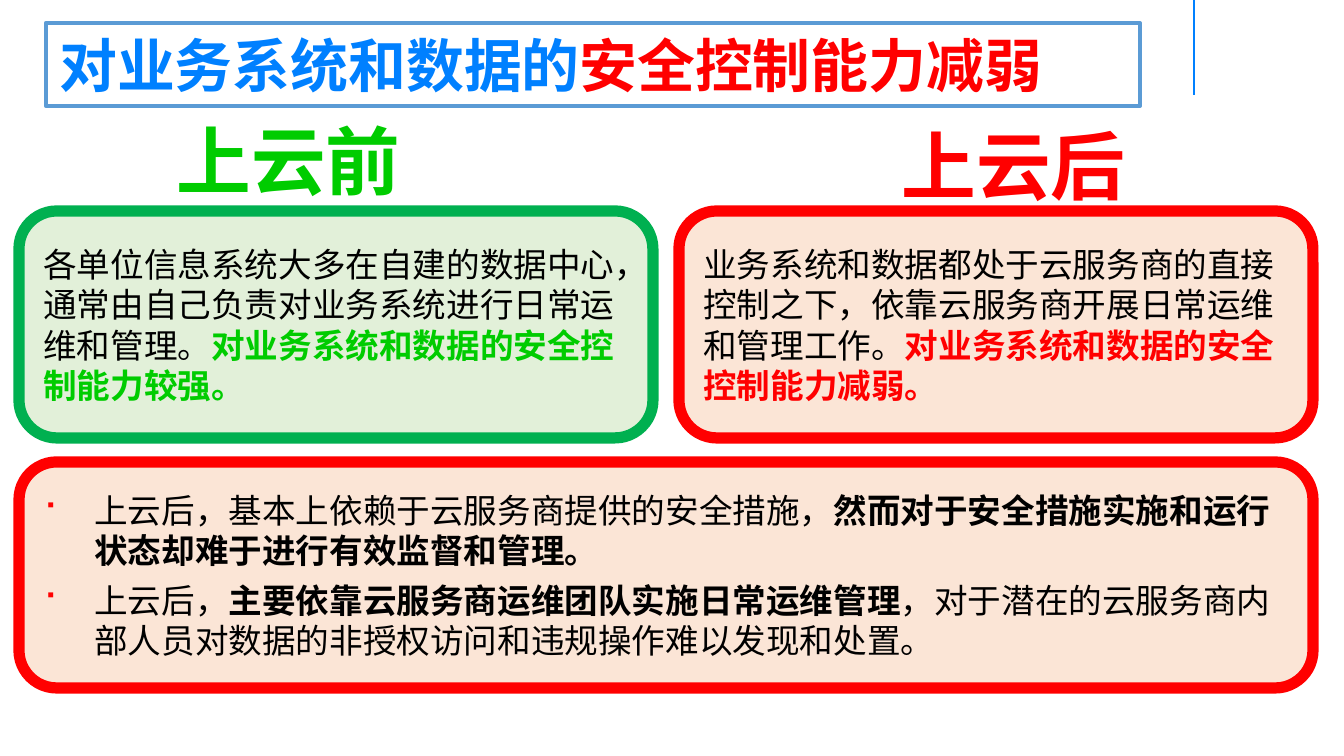
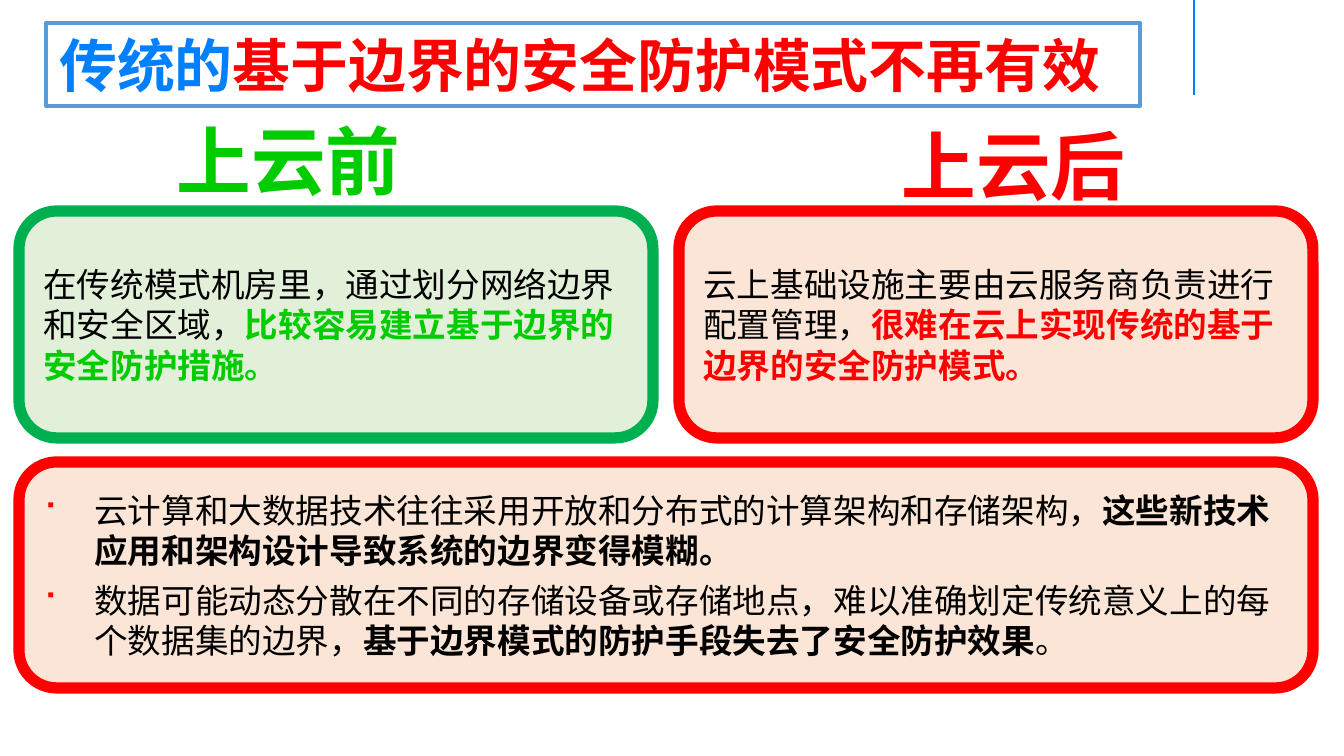
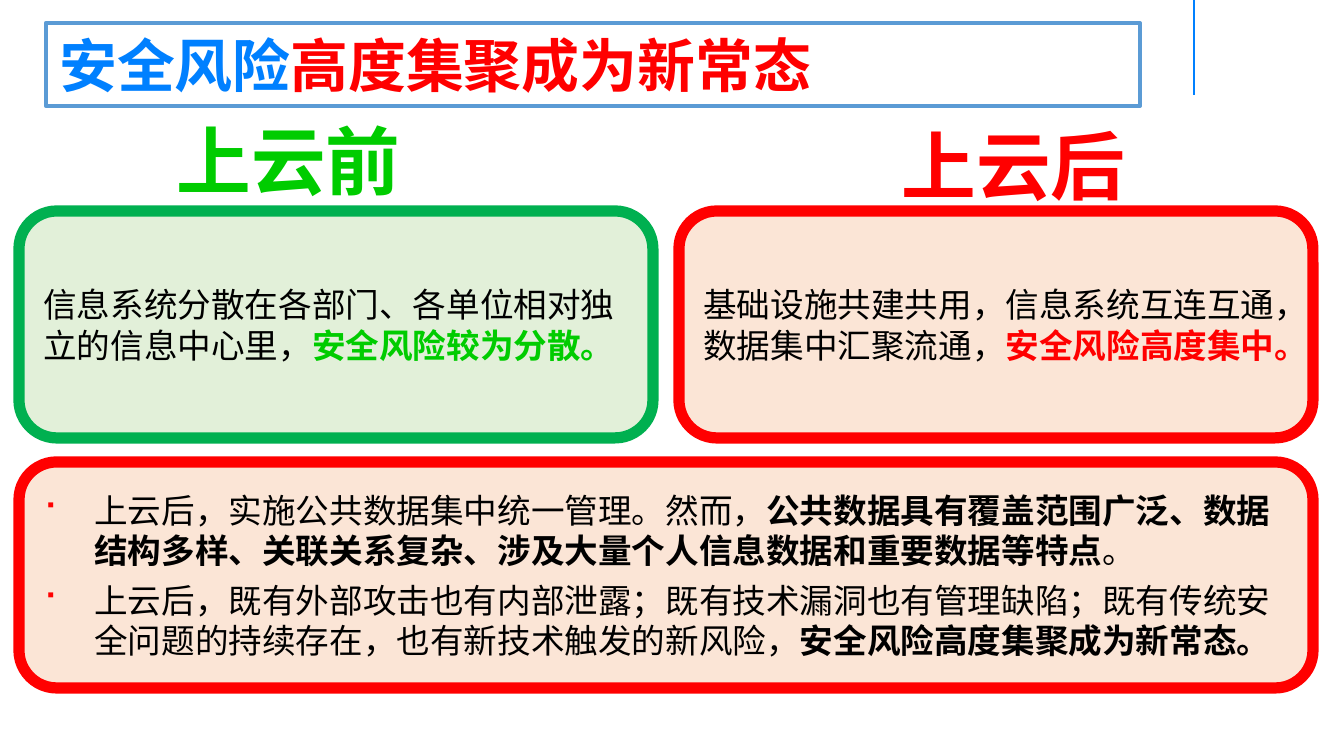
from lxml import etree
from pptx import Presentation
from pptx.dml.color import RGBColor
from pptx.enum.shapes import MSO_CONNECTOR, MSO_SHAPE
from pptx.enum.text import MSO_ANCHOR, MSO_AUTO_SIZE, PP_ALIGN
from pptx.oxml.ns import qn
from pptx.util import Pt

RECT, ROUNDED = MSO_SHAPE.RECTANGLE, MSO_SHAPE.ROUNDED_RECTANGLE
STRAIGHT = MSO_CONNECTOR.STRAIGHT
TOP, MIDDLE = MSO_ANCHOR.TOP, MSO_ANCHOR.MIDDLE
LEFT, CENTER = PP_ALIGN.LEFT, PP_ALIGN.CENTER
FIT_SHAPE, FIXED = MSO_AUTO_SIZE.SHAPE_TO_FIT_TEXT, MSO_AUTO_SIZE.NONE

BLUE = RGBColor(0x00, 0x80, 0xFF)
FRAME_BLUE = RGBColor(0x5B, 0x9B, 0xD5)
RED = RGBColor(0xFF, 0x00, 0x00)
PALE_RED = RGBColor(0xFB, 0xE5, 0xD6)
GREEN = RGBColor(0x00, 0xCC, 0x00)
EDGE_GREEN = RGBColor(0x00, 0xB0, 0x50)
PALE_GREEN = RGBColor(0xE2, 0xF0, 0xD9)
BLACK = RGBColor(0x00, 0x00, 0x00)
WHITE = RGBColor(0xFF, 0xFF, 0xFF)

BODY_FONT, HEADING_FONT = "Noto Sans CJK SC", "Noto Sans CJK JP"
LINE_HEIGHT = 1.2

TOPICS = [
    {
        "title": ("对业务系统和数据的", "安全控制能力减弱"),
        "before": ("各单位信息系统大多在自建的数据中心，通常由自己负责对业务系统进行日常运维和管理。",
                   "对业务系统和数据的安全控制能力较强。"),
        "after": ("业务系统和数据都处于云服务商的直接控制之下，依靠云服务商开展日常运维和管理工作。",
                  "对业务系统和数据的安全控制能力减弱。"),
        "points": [
            ("上云后，基本上依赖于云服务商提供的安全措施，",
             "然而对于安全措施实施和运行状态却难于进行有效监督和管理。"),
            ("上云后，", "主要依靠云服务商运维团队实施日常运维管理",
             "，对于潜在的云服务商内部人员对数据的非授权访问和违规操作难以发现和处置。"),
        ],
    },
    {
        "title": ("传统的", "基于边界的安全防护模式不再有效"),
        "before": ("在传统模式机房里，通过划分网络边界和安全区域，",
                   "比较容易建立基于边界的安全防护措施。"),
        "after": ("云上基础设施主要由云服务商负责进行配置管理，",
                  "很难在云上实现传统的基于边界的安全防护模式。"),
        "points": [
            ("云计算和大数据技术往往采用开放和分布式的计算架构和存储架构，",
             "这些新技术应用和架构设计导致系统的边界变得模糊。"),
            ("数据可能动态分散在不同的存储设备或存储地点，难以准确划定传统意义上的每个数据集的边界，",
             "基于边界模式的防护手段失去了安全防护效果", "。"),
        ],
    },
    {
        "title": ("安全风险", "高度集聚成为新常态"),
        "before": ("信息系统分散在各部门、各单位相对独立的信息中心里，", "安全风险较为分散。"),
        "after": ("基础设施共建共用，信息系统互连互通，数据集中汇聚流通，", "安全风险高度集中。"),
        "points": [
            ("上云后，实施公共数据集中统一管理。然而，",
             "公共数据具有覆盖范围广泛、数据结构多样、关联关系复杂、涉及大量个人信息数据和重要数据等特点",
             "。"),
            ("上云后，既有外部攻击也有内部泄露；既有技术漏洞也有管理缺陷；既有传统安全问题的持续存在，也有新技术触发的新风险，",
             "安全风险高度集聚成为新常态。"),
        ],
    },
]

STAGES = [
    {"key": "before", "heading": "上云前", "heading_box": (157, 108, 263, 104),
     "accent": GREEN, "edge": EDGE_GREEN, "fill": PALE_GREEN},
    {"key": "after", "heading": "上云后", "heading_box": (887, 113, 253, 104),
     "accent": RED, "edge": RED, "fill": PALE_RED},
]

PAGE_W, PAGE_H = 1344, 756
TITLE_BOX = (46, 23, 1094, 83)
RULE_X, RULE_H = 1194, 95
MARGIN, PANEL_W, PANEL_H, PANEL_TOP, GUTTER = 19, 634, 227, 211, 26
POINTS_TOP, POINTS_H = 462, 226
POINT_INDENT = 51


def px(length):
    return round(length * 914400 / 134.4)


def place(box):
    return [px(length) for length in box]


def add_solid(parent, tag, color):
    holder = etree.SubElement(parent, qn(tag))
    if tag == "a:ln":
        holder.set("w", str(Pt(0.75)))
        holder = etree.SubElement(holder, qn("a:solidFill"))
    etree.SubElement(holder, qn("a:srgbClr")).set("val", str(color))


def add_bullet(paragraph):
    props = paragraph._p.get_or_add_pPr()
    props.set("marL", str(px(POINT_INDENT)))
    props.set("indent", str(-px(POINT_INDENT)))
    add_solid(props, "a:buClr", RED)
    etree.SubElement(props, qn("a:buFont")).set("typeface", "Wingdings")
    etree.SubElement(props, qn("a:buChar")).set("char", "■")


def write(shape, paragraphs, size, font=BODY_FONT, align=LEFT, anchor=TOP,
          fit=FIXED, after=(0,), bullet=False, outline=None):
    frame = shape.text_frame
    frame.word_wrap = True
    frame.auto_size = fit
    frame.vertical_anchor = anchor
    for index, (runs, space) in enumerate(zip(paragraphs, after)):
        paragraph = frame.add_paragraph() if index else frame.paragraphs[0]
        paragraph.alignment = align
        paragraph.line_spacing = Pt(size * LINE_HEIGHT)
        paragraph.space_after = Pt(space)
        if bullet:
            add_bullet(paragraph)
        for text, color, bold in runs:
            run = paragraph.add_run()
            run.text = text
            props = run.font._element
            if outline:
                add_solid(props, "a:ln", outline)
            run.font.size = Pt(size)
            run.font.bold = bold
            run.font.color.rgb = color
            run.font.name = font
            etree.SubElement(props, qn("a:ea")).set("typeface", font)


def add_box(slide, kind, box, edge, weight, fill=None):
    shape = slide.shapes.add_shape(kind, *place(box))
    shape.shadow.inherit = False
    if fill is None:
        shape.fill.background()
    else:
        shape.fill.solid()
        shape.fill.fore_color.rgb = fill
    shape.line.color.rgb = edge
    shape.line.width = Pt(weight)
    return shape


def add_header(slide, title):
    rule = slide.shapes.add_connector(STRAIGHT, *place((RULE_X, 0, RULE_X, RULE_H)))
    rule.line.color.rgb = BLUE
    rule.line.width = Pt(1)
    etree.SubElement(rule._element.spPr, qn("a:effectLst"))
    subject, change = title
    title_box = add_box(slide, RECT, TITLE_BOX, FRAME_BLUE, 2.25)
    write(title_box, [[(subject, BLUE, True), (change, RED, True)]], 31, fit=FIT_SHAPE)


def add_stages(slide, topic):
    for column, stage in enumerate(STAGES):
        left = MARGIN + column * (PANEL_W + GUTTER)
        panel = add_box(slide, ROUNDED, (left, PANEL_TOP, PANEL_W, PANEL_H),
                        stage["edge"], 6, stage["fill"])
        situation, verdict = topic[stage["key"]]
        write(panel, [[(situation, BLACK, False), (verdict, stage["accent"], True)]],
              18, anchor=MIDDLE, after=(20,))
    for stage in STAGES:
        heading = slide.shapes.add_textbox(*place(stage["heading_box"]))
        write(heading, [[(stage["heading"], stage["accent"], True)]], 40,
              font=HEADING_FONT, align=CENTER, fit=FIT_SHAPE, outline=WHITE)


def add_points(slide, points):
    box = (MARGIN, POINTS_TOP, 2 * PANEL_W + GUTTER, POINTS_H)
    panel = add_box(slide, ROUNDED, box, RED, 6, PALE_RED)
    paragraphs = [[(text, BLACK, index % 2 == 1) for index, text in enumerate(point)]
                  for point in points]
    write(panel, paragraphs, 18, anchor=MIDDLE, after=(5, 10), bullet=True)


def main():
    deck = Presentation()
    deck.slide_width, deck.slide_height = px(PAGE_W), px(PAGE_H)
    for topic in TOPICS:
        slide = deck.slides.add_slide(deck.slide_layouts[6])
        add_header(slide, topic["title"])
        add_stages(slide, topic)
        add_points(slide, topic["points"])
    deck.save("out.pptx")


if __name__ == "__main__":
    main()
